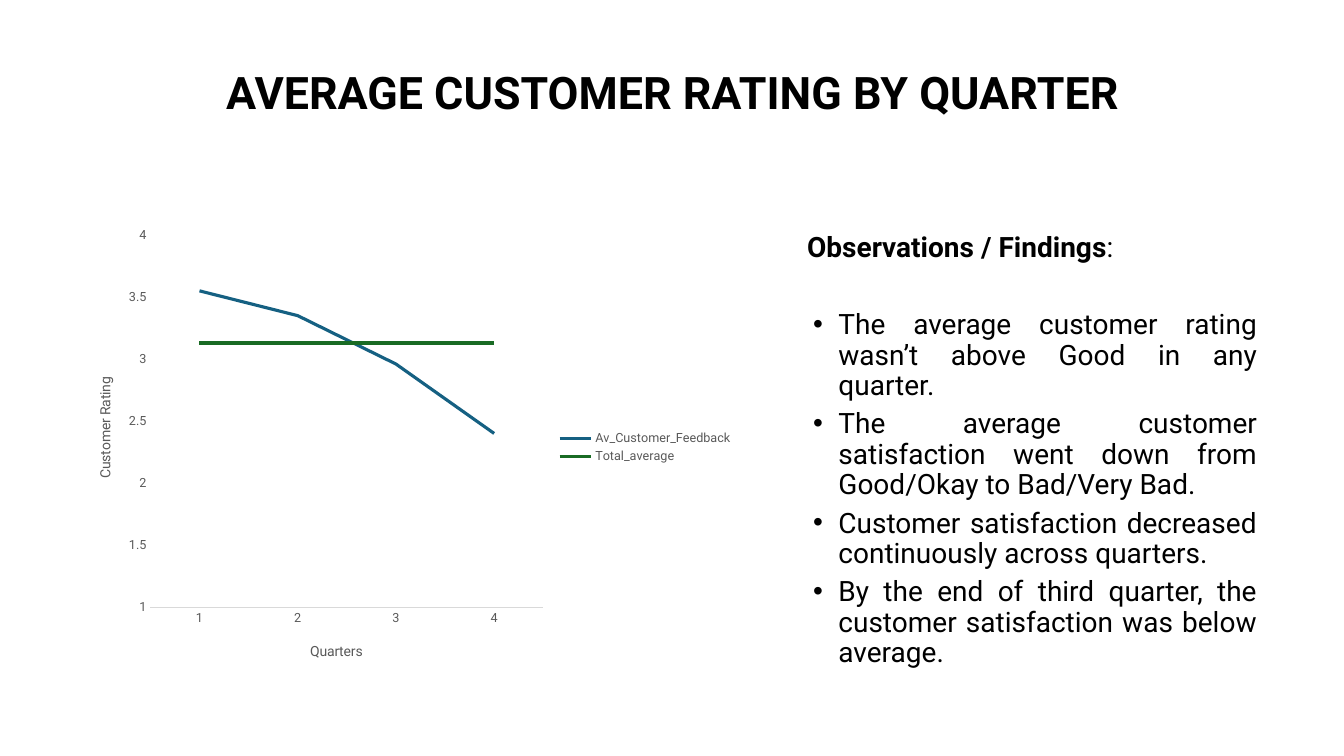
from lxml import etree
from pptx import Presentation
from pptx.chart.data import CategoryChartData
from pptx.dml.color import RGBColor
from pptx.enum import chart as charts, text
from pptx.oxml import parse_xml
from pptx.oxml.ns import nsdecls, qn
from pptx.util import Cm, Pt

FONT = "Roboto"
BLACK = RGBColor(0x00, 0x00, 0x00)
GREY = RGBColor(0x59, 0x59, 0x59)
AXIS_GREY = RGBColor(0xD9, 0xD9, 0xD9)
BLUE = RGBColor(0x15, 0x60, 0x82)
GREEN = RGBColor(0x19, 0x6B, 0x24)

QUARTERS = ["1", "2", "3", "4"]
RATINGS = [
    ("Av_Customer_Feedback", [3.55, 3.35, 2.96, 2.4], BLUE),
    ("Total_average", [3.13] * 4, GREEN),
]
FINDINGS = [
    "The average customer rating wasn’t above Good in any quarter.",
    "The average customer satisfaction went down from Good/Okay to Bad/Very Bad.",
    "Customer satisfaction decreased continuously across quarters.",
    "By the end of third quarter, the customer satisfaction was below average.",
]


def style_font(font, size, color, bold=False):
    font.name, font.size, font.bold = FONT, Pt(size), bold
    font.color.rgb = color


def add_run(paragraph, words, size, color=BLACK, bold=False):
    run = paragraph.add_run()
    run.text = words
    style_font(run.font, size, color, bold)


def add_text_frame(slide, box):
    frame = slide.shapes.add_textbox(*box).text_frame
    frame.word_wrap = True
    frame.vertical_anchor = text.MSO_ANCHOR.MIDDLE
    return frame


def add_heading(slide, box):
    heading = add_text_frame(slide, box).paragraphs[0]
    heading.alignment = text.PP_ALIGN.CENTER
    heading.line_spacing = 0.9
    add_run(heading, "AVERAGE CUSTOMER RATING BY QUARTER", 32, bold=True)


def make_bullet(paragraph):
    props = paragraph._p.get_or_add_pPr()
    props.set("marL", str(Cm(0.79)))
    props.set("indent", str(-Cm(0.64)))
    etree.SubElement(props, qn("a:buFont")).set("typeface", "Arial")
    etree.SubElement(props, qn("a:buChar")).set("char", "•")


def add_findings(slide, box):
    frame = add_text_frame(slide, box)
    lead = frame.paragraphs[0]
    lead.line_spacing, lead.space_after = 0.9, Pt(33.5)
    add_run(lead, "Observations / Findings", 20, bold=True)
    add_run(lead, ":", 20)
    for finding in FINDINGS:
        item = frame.add_paragraph()
        item.alignment = text.PP_ALIGN.JUSTIFY
        item.line_spacing, item.space_after = 0.9, Pt(6)
        make_bullet(item)
        add_run(item, finding, 20)


def place_layout(parent, after, x, y, size=None):
    """Set a manual layout, in fractions of the chart area."""
    for old in parent.findall(qn("c:layout")):
        parent.remove(old)
    parts = [("xMode", "edge"), ("yMode", "edge"), ("x", x), ("y", y)]
    if size:
        parts.insert(0, ("layoutTarget", "inner"))
        parts += zip("wh", size)
    values = "".join(f'<c:{tag} val="{value}"/>' for tag, value in parts)
    layout = parse_xml(f'<c:layout {nsdecls("c")}><c:manualLayout>{values}'
                       '</c:manualLayout></c:layout>')
    if after is None:
        parent.insert(0, layout)
    else:
        after.addnext(layout)


def style_axis(axis, title, x, y):
    axis.has_major_gridlines = False
    axis.major_tick_mark = axis.minor_tick_mark = charts.XL_TICK_MARK.NONE
    style_font(axis.tick_labels.font, 9, GREY)
    add_run(axis.axis_title.text_frame.paragraphs[0], title, 10, GREY)
    title_xml = axis.axis_title._element
    place_layout(title_xml, title_xml.find(qn("c:tx")), x, y)


def add_rating_chart(slide, box):
    data = CategoryChartData()
    data.categories = QUARTERS
    for name, values, _ in RATINGS:
        data.add_series(name, values)
    chart = slide.shapes.add_chart(charts.XL_CHART_TYPE.LINE, *box, data).chart
    style_font(chart.font, 10, BLACK)
    chart.has_title = False
    plot = chart.plots[0]
    plot.vary_by_categories = False

    # Rating lines
    for series, (_, _, color) in zip(plot.series, RATINGS):
        series.smooth = False
        series.marker.style = charts.XL_MARKER_STYLE.NONE
        series.format.line.color.rgb = color
        series.format.line.width = Pt(2.25)

    # Axes
    quarters, rating = chart.category_axis, chart.value_axis
    style_axis(quarters, "Quarters", 0.35, 0.92)
    quarters.format.line.color.rgb = AXIS_GREY
    quarters.format.line.width = Pt(0.75)
    style_axis(rating, "Customer Rating", 0.03, 0.34)
    rating.format.line.fill.background()
    rating.minimum_scale, rating.maximum_scale = 1, 4
    rating.major_unit = 0.5
    rating.tick_labels.number_format = "General"
    rating.tick_labels.number_format_is_linked = False
    plot_area = chart._chartSpace.chart.plotArea
    place_layout(plot_area, None, 0.115, 0.036, (0.587, 0.813))

    # Legend
    chart.has_legend = True
    chart.legend.position = charts.XL_LEGEND_POSITION.RIGHT
    chart.legend.include_in_layout = False
    style_font(chart.legend.font, 9, GREY)


def main():
    deck = Presentation()
    deck.slide_width, deck.slide_height = Cm(33.87), Cm(19.05)
    slide = deck.slides.add_slide(deck.slide_layouts[6])
    add_heading(slide, (Cm(2.11), Cm(0.86), Cm(29.69), Cm(3.07)))
    add_findings(slide, (Cm(20.09), Cm(5.69), Cm(11.84), Cm(11.35)))
    add_rating_chart(slide, (Cm(1.85), Cm(5.51), Cm(16.87), Cm(11.53)))
    deck.save("out.pptx")


if __name__ == "__main__":
    main()
